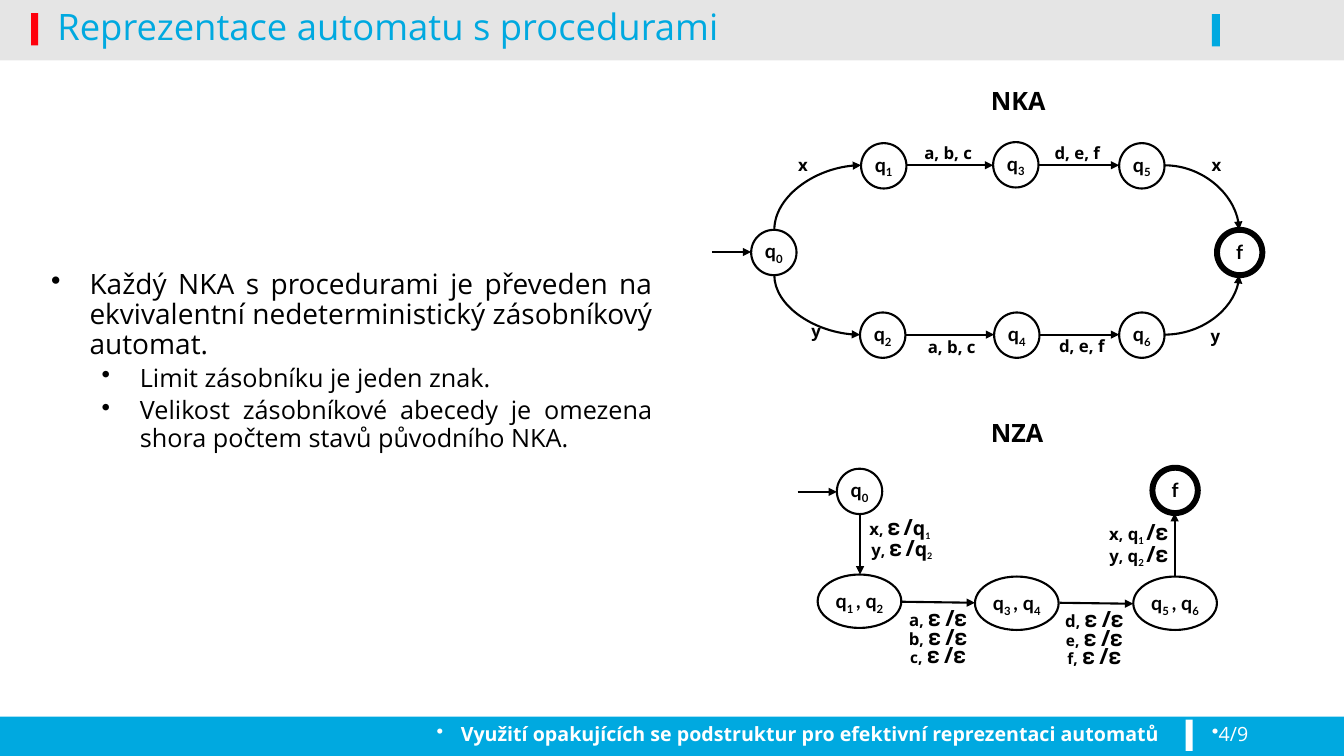
"""Build the slide that turns an automaton with procedures into a pushdown automaton."""
from dataclasses import dataclass

from lxml import etree
from pptx import Presentation
from pptx.dml.color import RGBColor
from pptx.enum.shapes import MSO_CONNECTOR, MSO_SHAPE
from pptx.enum.text import MSO_ANCHOR, PP_ALIGN
from pptx.oxml.ns import qn
from pptx.util import Inches, Pt

BLACK = RGBColor(0x00, 0x00, 0x00)
WHITE = RGBColor(0xFF, 0xFF, 0xFF)
BLUE = RGBColor(0x00, 0xA9, 0xE0)
RED = RGBColor(0xFE, 0x00, 0x0C)
RECTANGLE, OVAL = MSO_SHAPE.RECTANGLE, MSO_SHAPE.OVAL
STRAIGHT, CURVE = MSO_CONNECTOR.STRAIGHT, MSO_CONNECTOR.CURVE
LEFT, CENTER, RIGHT, JUSTIFY = PP_ALIGN.LEFT, PP_ALIGN.CENTER, PP_ALIGN.RIGHT, PP_ALIGN.JUSTIFY
TOP, MIDDLE, BOTTOM = MSO_ANCHOR.TOP, MSO_ANCHOR.MIDDLE, MSO_ANCHOR.BOTTOM
SANS, LATO = "Open Sans", "Lato"
EPSILON = "\U0001d6c6"
STATE_SIZE = 0.45
MERGED_WIDTH, MERGED_HEIGHT = 0.83, 0.53


@dataclass
class Span:
    """A stretch of text with its own look."""
    text: str
    size: float
    bold: bool = True
    font: str = SANS
    color: RGBColor = BLACK
    lowered: bool = False


@dataclass
class Painter:
    """Hold the style and the current slide."""
    page: object
    spacing: float = 0.9
    thin: float = 1.5
    thick: float = 4.25

    def bar(self, left, top, width, height, color, opacity=100):
        """Draw a plain filled rectangle."""
        shape = self.page.shapes.add_shape(RECTANGLE, *map(Inches, (left, top, width, height)))
        shape.shadow.inherit = False
        shape.fill.solid()
        shape.fill.fore_color.rgb = color
        shape.line.fill.background()
        if opacity < 100:
            tint = shape._element.spPr.find(".//" + qn("a:srgbClr"))
            etree.SubElement(tint, qn("a:alpha")).set("val", str(opacity * 1000))

    def fill_paragraph(self, para, spans, align=LEFT, spacing=None):
        """Fill a paragraph span by span."""
        para.alignment = align
        para.line_spacing = spacing or self.spacing
        for span in spans:
            run = para.add_run()
            run.text = span.text
            run.font.size = Pt(span.size)
            run.font.name = span.font
            run.font.bold = span.bold
            run.font.color.rgb = span.color
            if span.lowered:
                run._r.get_or_add_rPr().set("baseline", "-25000")

    def bullet(self, para, margin, hang):
        """Put a round bullet before a paragraph."""
        properties = para._p.get_or_add_pPr()
        properties.set("marL", str(Inches(margin)))
        properties.set("indent", str(-Inches(hang)))
        etree.SubElement(properties, qn("a:buChar")).set("char", "•")

    def text(self, left, top, width, height, spans, align=LEFT, spacing=None, anchor=TOP):
        """Add a text box and return its frame."""
        box = self.page.shapes.add_textbox(*map(Inches, (left, top, width, height)))
        frame = box.text_frame
        frame.word_wrap = True
        frame.vertical_anchor = anchor
        if align == CENTER:
            frame.margin_left = frame.margin_right = 0
        self.fill_paragraph(frame.paragraphs[0], spans, align, spacing)
        return frame

    def state(self, left, top, spans, width=STATE_SIZE, height=STATE_SIZE, final=False, anchor=BOTTOM):
        """Draw an automaton state."""
        oval = self.page.shapes.add_shape(OVAL, *map(Inches, (left, top, width, height)))
        oval.shadow.inherit = False
        oval.fill.solid()
        oval.fill.fore_color.rgb = WHITE
        oval.line.color.rgb = BLACK
        oval.line.width = Pt(self.thick if final else self.thin)
        frame = oval.text_frame
        frame.word_wrap = True
        frame.margin_left = frame.margin_right = 0
        frame.vertical_anchor = anchor
        self.fill_paragraph(frame.paragraphs[0], spans, CENTER)

    def arrow(self, start, end, kind=STRAIGHT):
        """Draw a transition that ends in a triangle."""
        line = self.page.shapes.add_connector(kind, *map(Inches, (*start, *end)))
        line.line.color.rgb = BLACK
        line.line.width = Pt(self.thin)
        properties = line._element.spPr
        etree.SubElement(properties.find(qn("a:ln")), qn("a:tailEnd")).set("type", "triangle")
        etree.SubElement(properties, qn("a:effectLst"))
        return line

    def bend(self, start, end, upright=False):
        """Draw a quarter curve, leaving vertically when upright."""
        middle_x, middle_y = (start[0] + end[0]) / 2, (start[1] + end[1]) / 2
        if upright:
            start, end = ((middle_x + y - middle_y, middle_y - x + middle_x) for x, y in (start, end))
        properties = self.arrow(start, end, CURVE)._element.spPr
        properties.find(qn("a:prstGeom")).set("prst", "curvedConnector2")
        if upright:
            properties.find(qn("a:xfrm")).set("rot", "5400000")


def state_name(letter, index=""):
    """Return the spans of a state name."""
    spans = [Span(letter, 14, font=LATO)]
    return spans + [Span(index, 14, font=LATO, lowered=True)] if index else spans


def merged_name(first, second):
    """Return the spans of a state made of two states."""
    return state_name("q", first + " ") + state_name(", q", second)


def push_label(symbol, index):
    """Return the spans of a transition that pushes a state."""
    return [Span(symbol, 12), Span(", ", 11), Span(EPSILON, 16), Span(" ", 9), Span("/", 16),
            Span("q", 14), Span(index, 11, font=LATO, lowered=True)]


def pop_label(symbol, index):
    """Return the spans of a transition that pops a state."""
    return [Span(symbol, 12), Span(",", 11), Span(" q", 12),
            Span(index + " ", 12, font=LATO, lowered=True), Span("/" + EPSILON, 16)]


def read_label(symbol):
    """Return the spans of a transition that leaves the stack alone."""
    size = 12 if symbol in "abd" else 11
    return [Span(symbol, size), Span(",", 11), Span(" ", 12), Span(EPSILON, 16),
            Span(" ", 12), Span("/" + EPSILON, 16)]


deck = Presentation()
deck.slide_width, deck.slide_height = Inches(13.33), Inches(7.5)
painter = Painter(deck.slides.add_slide(deck.slide_layouts[6]))

painter.bar(0, 7.11, 13.33, 0.39, BLUE)
painter.bar(0, 0.56, 13.33, 0.04, BLACK, 10)
painter.bar(0, 0, 13.33, 0.56, BLACK, 10)
painter.bar(0.31, 0.13, 0.07, 0.32, RED)
painter.bar(11.76, 7.14, 0.07, 0.31, WHITE)
painter.bar(12.02, 0.14, 0.08, 0.32, BLUE)

footer = Span("Využití opakujících se podstruktur pro efektivní reprezentaci automatů", 14, color=WHITE)
frame = painter.text(0.16, 7.14, 11.44, 0.36, [footer], RIGHT)
painter.bullet(frame.paragraphs[0], 0.24, 0.24)
frame = painter.text(11.92, 7.14, 1.21, 0.36, [Span("4/9", 14, False, color=WHITE)])
painter.bullet(frame.paragraphs[0], 0, 0)
painter.text(0.47, -0.11, 11.5, 0.79,
             [Span("Reprezentace automatu s procedurami", 26, False, color=BLUE)], anchor=MIDDLE)

body = painter.text(0.41, 2.63, 6.16, 2.54, [Span(
    "Každý NKA s procedurami je převeden na ekvivalentní nedeterministický zásobníkový automat.",
    20, False)], JUSTIFY)
painter.bullet(body.paragraphs[0], 0.38, 0.38)
for detail in ("Limit zásobníku je jeden znak.",
               "Velikost zásobníkové abecedy je omezena shora počtem stavů původního NKA."):
    para = body.add_paragraph()
    para.level = 1
    para.space_before = Pt(3.6)
    painter.fill_paragraph(para, [Span(detail, 18, False)], JUSTIFY)
    painter.bullet(para, 0.88, 0.38)

for heading, top in (("NKA", 0.83), ("NZA", 4.12)):
    painter.text(9.73, top, 1.09, 0.4, [Span(heading, 18)])

for index, left, top in (("0", 7.45, 2.28), ("1", 8.54, 1.42), ("3", 9.85, 1.41), ("5", 11.1, 1.42),
                         ("2", 8.53, 3.1), ("4", 9.86, 3.1), ("6", 11.1, 3.1), ("0", 8.3, 4.65)):
    painter.state(left, top, state_name("q", index))
for left, top in ((12.07, 2.28), (11.43, 4.64)):
    painter.state(left, top, state_name("f"), final=True)
for first, second, left, top in (("1", "2", 8.11, 5.7), ("3", "4", 9.67, 5.72), ("5", "6", 11.24, 5.72)):
    painter.state(left, top, merged_name(first, second), MERGED_WIDTH, MERGED_HEIGHT, anchor=MIDDLE)

for start, end in (((7.06, 2.5), (7.45, 2.5)), ((7.91, 4.88), (8.3, 4.88)),
                   ((8.94, 5.97), (9.67, 5.98)), ((10.51, 5.98), (11.24, 5.99)),
                   ((8.53, 5.1), (8.53, 5.7)), ((11.65, 5.72), (11.65, 5.09))):
    painter.arrow(start, end)
for level, stops in ((1.64, (8.99, 9.85, 10.3, 11.1)), (3.32, (8.98, 9.86, 10.31, 11.1))):
    for begin, finish in (stops[:2], stops[2:]):
        painter.arrow((begin, level), (finish, level), CURVE)
painter.bend((7.68, 2.28), (8.54, 1.64), upright=True)
painter.bend((7.68, 2.73), (8.53, 3.32), upright=True)
painter.bend((11.55, 1.64), (12.29, 2.28))
painter.bend((11.55, 3.32), (12.29, 2.73))

for label, left, top, width in (("a, b, c", 8.99, 1.39, 0.83), ("a, b, c", 9, 3.31, 0.88),
                                ("d, e, f", 10.27, 1.39, 0.83), ("d, e, f", 10.29, 3.3, 0.88),
                                ("x", 7.83, 1.51, 0.27), ("x", 11.93, 1.51, 0.27),
                                ("y", 7.96, 3.16, 0.27), ("y", 11.92, 3.2, 0.27)):
    painter.text(left, top, width, 0.3, [Span(label, 12)], CENTER)

stack_labels = [(push_label("x", "1"), 8.43, 5.09), (push_label("y", "2"), 8.45, 5.29),
                (pop_label("x", "1"), 10.8, 5.13), (pop_label("y", "2"), 10.8, 5.35)]
for symbols, left, top in (("abc", 8.81, 6), ("def", 10.36, 6.01)):
    stack_labels += [(read_label(symbol), left, top + 0.18 * row) for row, symbol in enumerate(symbols)]
for spans, left, top in stack_labels:
    painter.text(left, top, 0.99, 0.32, spans, CENTER, 0.8)

deck.save("out.pptx")
